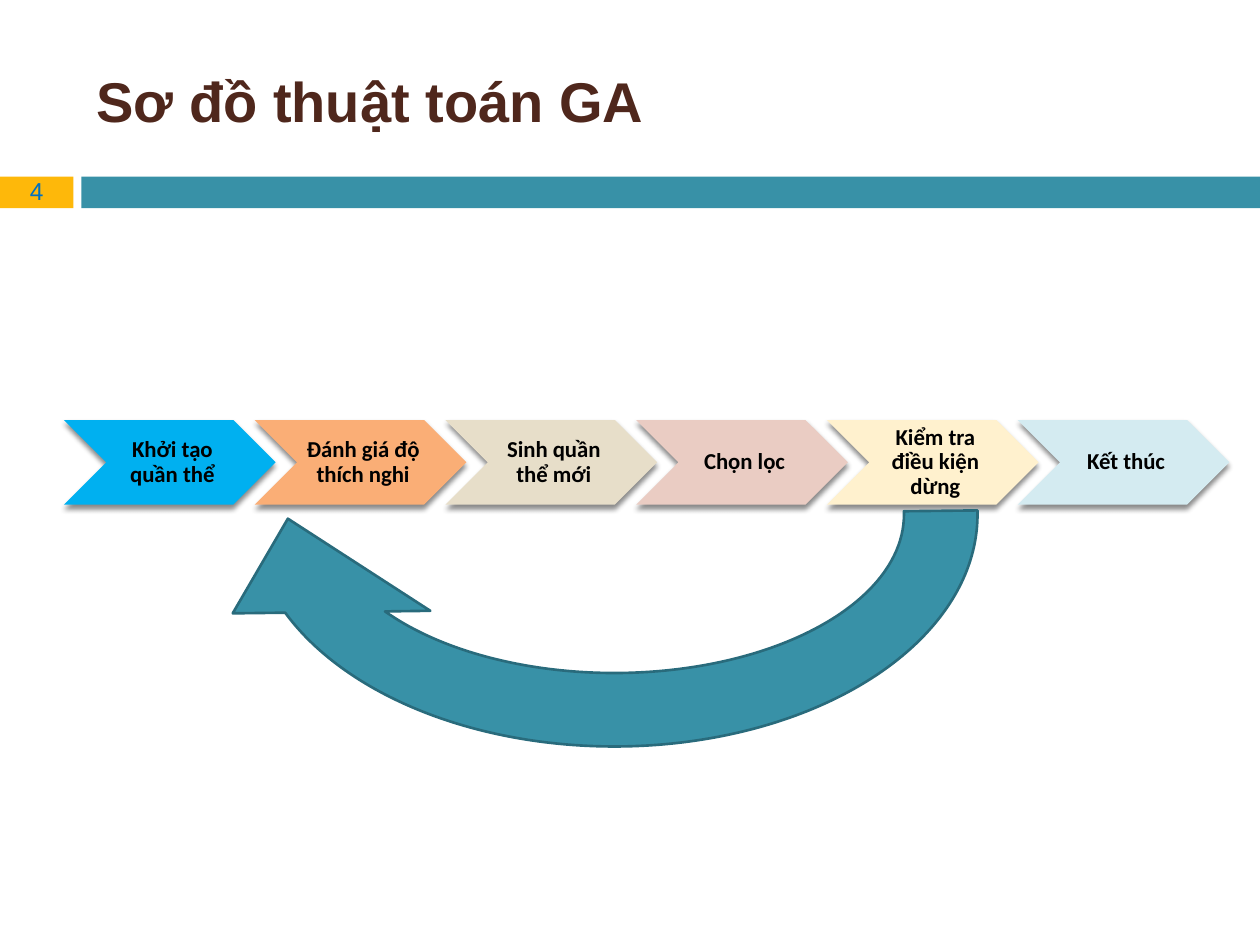
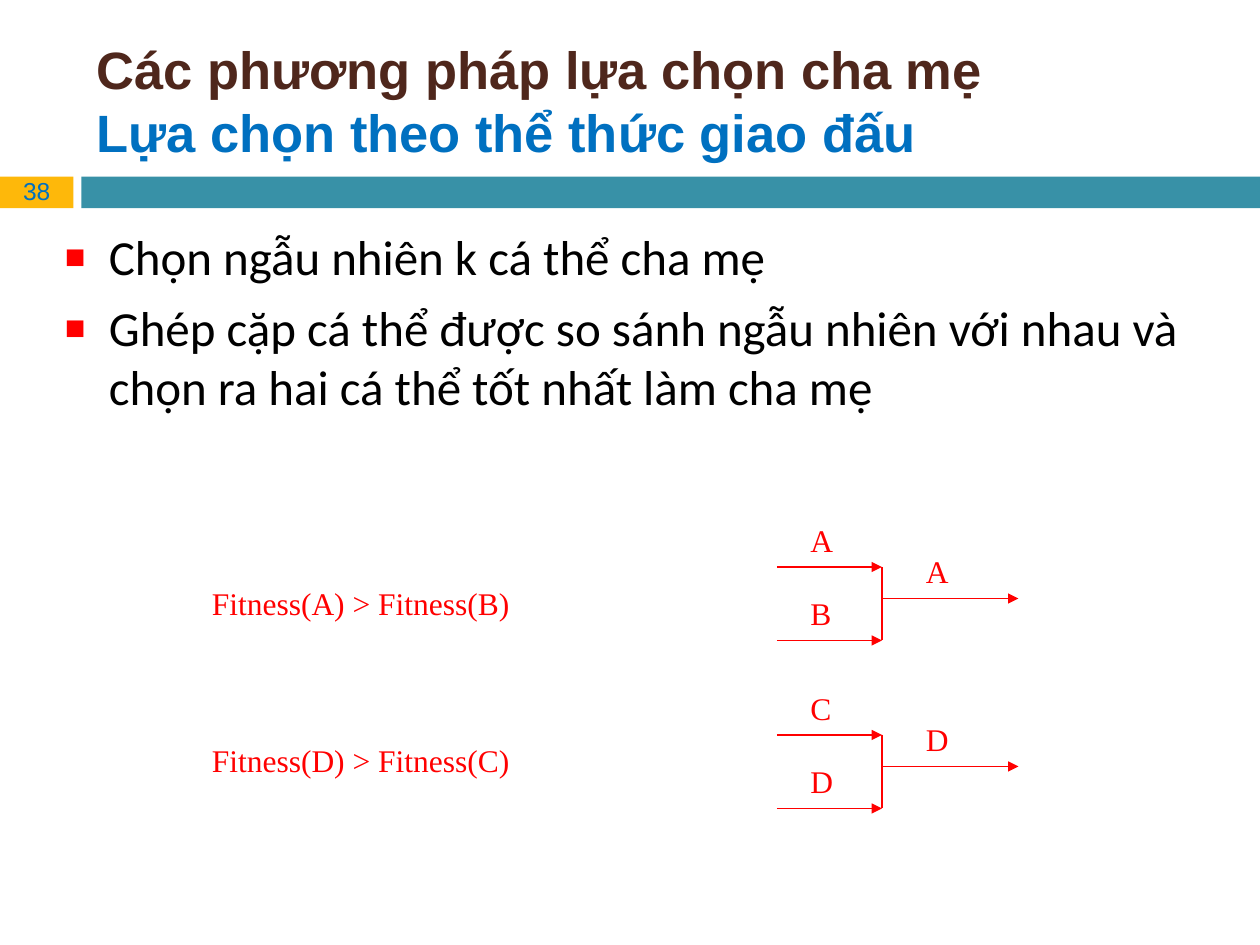
from collections import namedtuple
from dataclasses import dataclass

from lxml.etree import SubElement
from pptx import Presentation
from pptx.dml.color import RGBColor
from pptx.enum.shapes import MSO_CONNECTOR, MSO_SHAPE
from pptx.enum.text import MSO_ANCHOR, MSO_AUTO_SIZE, PP_ALIGN
from pptx.oxml.ns import qn
from pptx.util import Pt

Box = namedtuple("Box", "left top width height")


@dataclass(frozen=True)
class Theme:
    teal: str = "3891A7"
    teal_edge: str = "296B7C"
    amber: str = "FEB80A"
    brown: str = "4F271C"
    blue: str = "0070C0"
    red: str = "FF0000"
    black: str = "000000"
    heading_font: str = "Arial"
    body_font: str = "Calibri"
    diagram_font: str = "Times New Roman"
    title_size: float = 32
    two_line_title_size: float = 30
    body_size: float = 28
    diagram_size: float = 18
    number_size: float = 14
    step_size: float = 13


THEME = Theme()
TITLE = Box(48, 18, 642, 78)
BAND = Box(0, 101, 720, 18)
STEPS = Box(36.5, 240, 666, 48.4)
LOOP = Box(108, 126, 486, 336)
BULLETS = Box(30, 126, 690, 414)

GA_STEPS = [
    ("Khởi tạo quần thể", "00B0F0"),
    ("Đánh giá độ thích nghi", "FAAE76"),
    ("Sinh quần thể mới", "E7DEC9"),
    ("Chọn lọc", "EACCC3"),
    ("Kiểm tra điều kiện dừng", "FFF1CE"),
    ("Kết thúc", "D4EBF1"),
]
SELECTION_RULES = [
    "Chọn ngẫu nhiên k cá thể cha mẹ",
    "Ghép cặp cá thể được so sánh ngẫu nhiên với nhau và "
    "chọn ra hai cá thể tốt nhất làm cha mẹ",
]


def points(*lengths):
    return [Pt(length) for length in lengths]


def write(frame, text, *, size, font, color, bold=False, align=PP_ALIGN.LEFT,
          anchor=MSO_ANCHOR.TOP, insets=(7.2, 3.6, 7.2, 3.6), line_spacing=None,
          new_paragraph=False):
    """Write one formatted paragraph and return it."""
    frame.word_wrap = True
    frame.auto_size = MSO_AUTO_SIZE.NONE
    frame.vertical_anchor = anchor
    (frame.margin_left, frame.margin_top,
     frame.margin_right, frame.margin_bottom) = points(*insets)
    paragraph = frame.add_paragraph() if new_paragraph else frame.paragraphs[0]
    paragraph.alignment = align
    if line_spacing:
        paragraph.line_spacing = line_spacing
    run = paragraph.add_run()
    run.text = text
    run.font.size, run.font.name, run.font.bold = Pt(size), font, bold
    run.font.color.rgb = RGBColor.from_string(color)
    return paragraph


def add_text(slide, box, text, **style):
    frame = slide.shapes.add_textbox(*points(*box)).text_frame
    write(frame, text, **style)
    return frame


def add_filled(slide, preset, box, fill, edge=None):
    shape = slide.shapes.add_shape(preset, *points(*box))
    shape.shadow.inherit = False
    shape.fill.solid()
    shape.fill.fore_color.rgb = RGBColor.from_string(fill)
    if edge:
        shape.line.color.rgb = RGBColor.from_string(edge)
        shape.line.width = Pt(1.5)
    else:
        shape.line.fill.background()
    return shape


def add_drop_shadow(shape):
    effects = shape.element.spPr.find(qn("a:effectLst"))
    shadow = SubElement(effects, qn("a:outerShdw"), blurRad=str(Pt(3)),
                        dist=str(Pt(2.4)), dir="5400000", rotWithShape="0")
    color = SubElement(shadow, qn("a:srgbClr"), val=THEME.black)
    SubElement(color, qn("a:alpha"), val="45000")


def add_line(slide, start, end, arrow=False):
    line = slide.shapes.add_connector(MSO_CONNECTOR.STRAIGHT, *points(*start, *end))
    line.line.color.rgb = RGBColor.from_string(THEME.red)
    line.line.width = Pt(0.75)
    if arrow:
        SubElement(line.line._get_or_add_ln(), qn("a:tailEnd"), type="triangle")
    SubElement(line._element.spPr, qn("a:effectLst"))


def add_bullet(paragraph):
    properties = paragraph._p.get_or_add_pPr()
    properties.set("marL", str(Pt(25.2)))
    properties.set("indent", str(-Pt(25.2)))
    color = SubElement(properties, qn("a:buClr"))
    SubElement(color, qn("a:srgbClr"), val=THEME.red)
    SubElement(properties, qn("a:buSzPct"), val="70000")
    SubElement(properties, qn("a:buFont"), typeface=THEME.heading_font)
    SubElement(properties, qn("a:buChar"), char="■")


def add_number_band(slide, box, number):
    number_width, gap = 42, 4.5
    bar_left = box.left + number_width + gap
    add_filled(slide, MSO_SHAPE.RECTANGLE,
               box._replace(width=number_width), THEME.amber)
    add_filled(slide, MSO_SHAPE.RECTANGLE,
               box._replace(left=bar_left, width=box.width - bar_left), THEME.teal)
    add_text(slide, Box(box.left, box.top - 4, number_width, 25), str(number),
             size=THEME.number_size, font=THEME.heading_font, color=THEME.blue,
             align=PP_ALIGN.CENTER)


def add_titled_slide(deck, number, heading, subheading=None):
    slide = deck.slides.add_slide(deck.slide_layouts[5])
    add_number_band(slide, BAND, number)
    title = slide.shapes.title
    title.left, title.top, title.width, title.height = points(*TITLE)
    style = dict(size=THEME.two_line_title_size if subheading else THEME.title_size,
                 font=THEME.heading_font, bold=True, anchor=MSO_ANCHOR.MIDDLE)
    write(title.text_frame, heading, color=THEME.brown, **style)
    if subheading:
        write(title.text_frame, subheading, color=THEME.blue,
              new_paragraph=True, **style)
    return slide


def add_step_row(slide, box, steps):
    step_width = 121
    pitch = (box.width - step_width) / (len(steps) - 1)
    for index, (label, fill) in enumerate(steps):
        step_box = box._replace(left=box.left + index * pitch, width=step_width)
        step = add_filled(slide, MSO_SHAPE.CHEVRON, step_box, fill)
        add_drop_shadow(step)
        write(step.text_frame, label, size=THEME.step_size, font=THEME.body_font,
              color=THEME.black, bold=True, align=PP_ALIGN.CENTER,
              anchor=MSO_ANCHOR.MIDDLE, insets=(4.3, 1.4, 1.4, 1.4),
              line_spacing=0.9)


def add_loop_arrow(slide, box):
    loop = add_filled(slide, MSO_SHAPE.CIRCULAR_ARROW, box, THEME.teal, THEME.teal_edge)
    loop.rotation = 180
    for index, value in enumerate((0.125, 10.98, 204.58, 107.61, 0.168)):
        loop.adjustments[index] = value


def add_bullets(slide, box, items):
    style = dict(size=THEME.body_size, font=THEME.body_font, color=THEME.black)
    frame = slide.shapes.add_textbox(*points(*box)).text_frame
    for index, item in enumerate(items):
        paragraph = write(frame, item, new_paragraph=index > 0, **style)
        paragraph.space_before = Pt(7)
        add_bullet(paragraph)


def add_match(slide, box, entrants, winner):
    """Draw two entrants joined by a bracket from which the winner leaves."""
    spine = box.left + 60
    right, bottom = box.left + box.width, box.top + box.height
    winner_y = box.top + 18
    for entrant, y in zip(entrants, (box.top, bottom)):
        add_line(slide, (box.left, y), (spine, y), arrow=True)
        add_diagram_text(slide, Box(box.left + 12, y - 30, 36, 29), entrant)
    add_line(slide, (spine, box.top), (spine, bottom))
    add_line(slide, (spine, winner_y), (right, winner_y), arrow=True)
    add_diagram_text(slide, Box(spine + 18, winner_y - 30, 36, 29), winner)


def add_diagram_text(slide, box, text):
    add_text(slide, box, text, size=THEME.diagram_size,
             font=THEME.diagram_font, color=THEME.red)


def build_algorithm_slide(deck):
    slide = add_titled_slide(deck, 4, "Sơ đồ thuật toán GA")
    add_step_row(slide, STEPS, GA_STEPS)
    add_loop_arrow(slide, LOOP)


def build_tournament_slide(deck):
    slide = add_titled_slide(deck, 38, "Các phương pháp lựa chọn cha mẹ",
                             "Lựa chọn theo thể thức giao đấu")
    add_bullets(slide, BULLETS, SELECTION_RULES)
    matches = [("AB", "A", "B", 324, 330), ("CD", "D", "C", 420, 420)]
    for entrants, winner, loser, match_top, rule_top in matches:
        add_match(slide, Box(444, match_top, 138, 42), entrants, winner)
        add_diagram_text(slide, Box(114, rule_top, 258, 29),
                         f"Fitness({winner}) > Fitness({loser})")


def main():
    deck = Presentation()
    deck.slide_width, deck.slide_height = points(720, 540)
    build_algorithm_slide(deck)
    build_tournament_slide(deck)
    deck.save("out.pptx")


if __name__ == "__main__":
    main()
